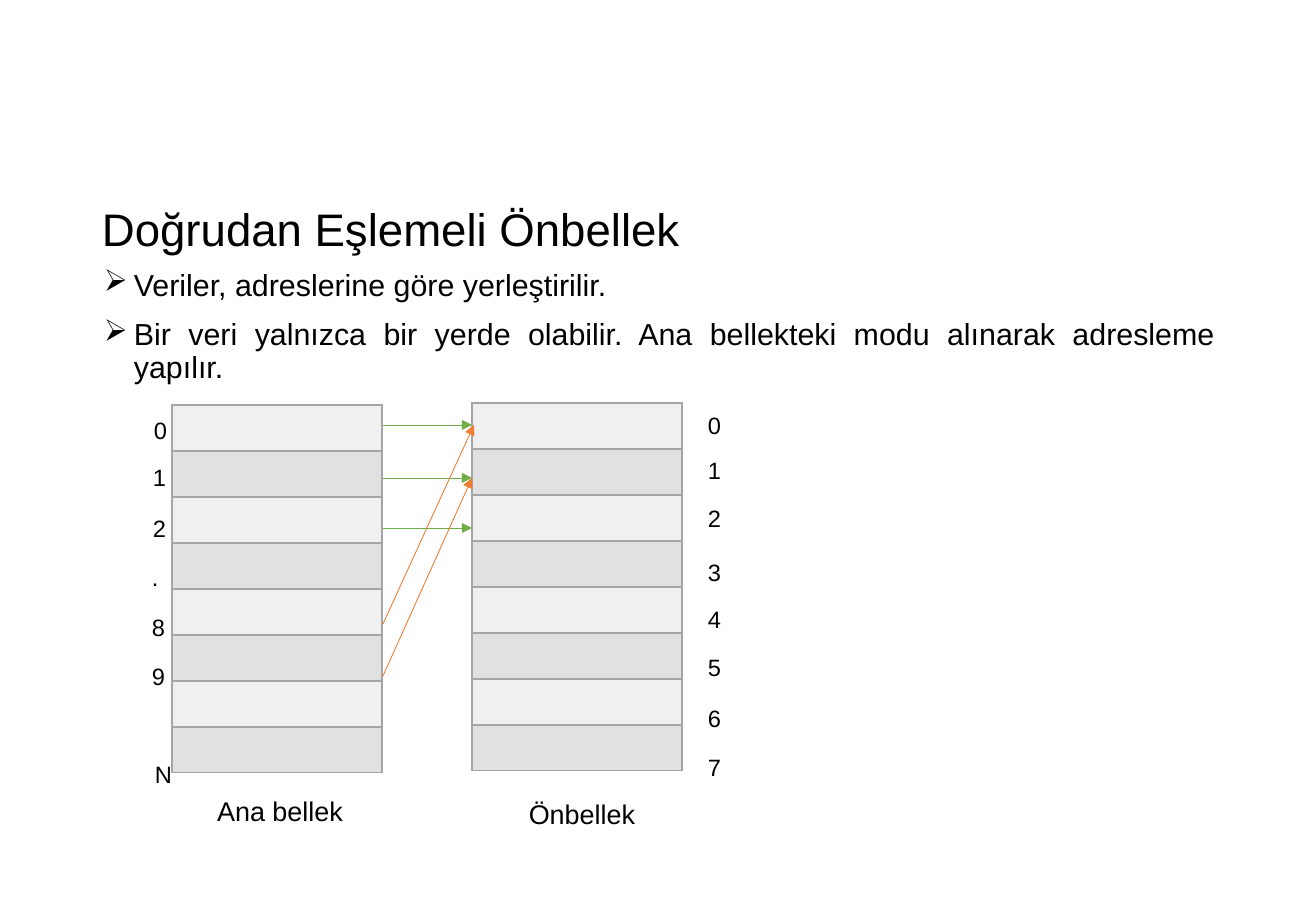
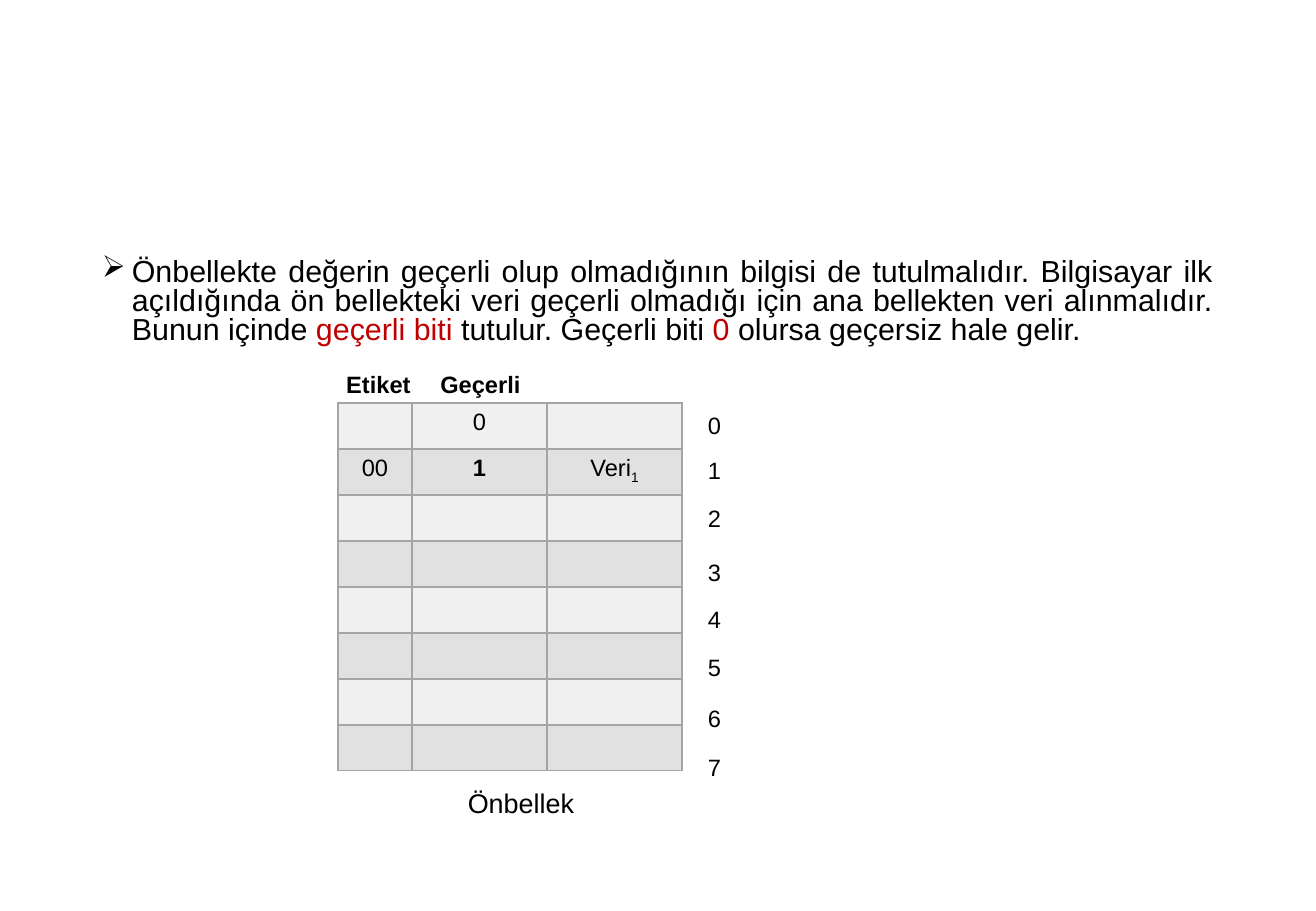
from lxml import etree
from pptx import Presentation, util as u
from pptx.dml.color import RGBColor
from pptx.enum import shapes, text
from pptx.oxml.ns import qn

SCALE = 7526  # EMU in one px
BLACK, RED, GREEN, ORANGE = "000000", "C00000", "70AD47", "ED7D31"
GRAY, BANDS = "A5A5A5", ("F0F0F0", "E1E1E1")
ROWS, ROW = 8, 46
LINES = (406, 451, 499, 553, 600, 648, 699, 748)


def px(n):
    return u.Emu(n * SCALE)


def rgb(code):
    return RGBColor.from_string(code)


def sub(node, tag, **attrs):
    return etree.SubElement(node, qn(tag), attrs)


class Deck:
    face = "Arial"

    def __init__(self):
        self.prs = Presentation()
        self.prs.slide_width, self.prs.slide_height = px(1316), px(911)

    def page(self):
        self.slide = self.prs.slides.add_slide(self.prs.slide_layouts[6])

    def font(self, par, size, bold=False):
        par.font.name, par.font.size, par.font.bold = self.face, u.Pt(size), bold
        par.font.color.rgb = rgb(BLACK)

    def box(self, x, y, w, h):
        frame = self.slide.shapes.add_textbox(px(x), px(y), px(w), px(h)).text_frame
        frame.word_wrap = True
        return frame

    def label(self, words, x, y, w=24, h=39, size=14, bold=False,
              align=text.PP_ALIGN.CENTER):
        frame = self.box(x, y, w, h)
        frame.vertical_anchor = text.MSO_ANCHOR.MIDDLE
        par = frame.paragraphs[0]
        par.text, par.alignment = words, align
        self.font(par, size, bold)
        return par

    def title(self, words):
        par = self.label(words, 90, 192, 1135, 80, 27, align=text.PP_ALIGN.LEFT)
        par.line_spacing = 0.9

    def caption(self, words, x, y):
        self.label(words, x, y, 234, 72, 16)

    def body(self, items, x, y, h, spacing):
        """Each item is a list of (words, colour) runs."""
        frame = self.box(x, y, 1135, h)
        for i, item in enumerate(items):
            par = frame.add_paragraph() if i else frame.paragraphs[0]
            props = par._p.get_or_add_pPr()
            props.set("marL", str(px(30)))
            props.set("indent", str(px(-30)))
            sub(props, "a:buChar", char="➢")
            par.alignment = text.PP_ALIGN.JUSTIFY
            par.line_spacing = spacing
            par.space_before = u.Pt(10 if i else 0)
            self.font(par, 18)
            for words, color in item:
                run = par.add_run()
                run.text = words
                if color != BLACK:
                    run.font.color.rgb = rgb(color)

    def grid(self, x, y, cols):
        table = self.slide.shapes.add_table(
            ROWS, len(cols), px(x), px(y), px(sum(cols)), px(ROWS * ROW)).table
        table.first_row = table.horz_banding = False
        for col, w in zip(table.columns, cols):
            col.width = px(w)
        for i, row in enumerate(table.rows):
            row.height = px(ROW)
            for cell in row.cells:
                self.cell(cell, BANDS[i % 2])
        return table

    def cell(self, cell, color):
        cell.margin_bottom = 0
        props = cell._tc.get_or_add_tcPr()
        for side in ("a:lnL", "a:lnR", "a:lnT", "a:lnB"):
            fill = sub(sub(props, side, w=str(u.Pt(1))), "a:solidFill")
            sub(fill, "a:srgbClr", val=GRAY)
        cell.fill.solid()
        cell.fill.fore_color.rgb = rgb(color)
        self.font(cell.text_frame.paragraphs[0], 14)

    def put(self, cell, words, bold=False, low=""):
        par = cell.text_frame.paragraphs[0]
        par.alignment = text.PP_ALIGN.CENTER
        par.add_run().text = words
        self.font(par, 14, bold)
        if low:
            run = par.add_run()
            run.text = low
            run._r.get_or_add_rPr().set("baseline", "-25000")

    def arrow(self, x1, y1, x2, y2, color):
        line = self.slide.shapes.add_connector(
            shapes.MSO_CONNECTOR.STRAIGHT, px(x1), px(y1), px(x2), px(y2))
        line.line.color.rgb, line.line.width = rgb(color), u.Pt(0.5)
        sub(line.line._get_or_add_ln(), "a:tailEnd", type="triangle")
        sub(line._element.spPr, "a:effectLst")

    def index(self):
        for i, y in enumerate(LINES):
            self.label(str(i), 696, y)


def mapping(deck):
    deck.page()
    deck.title("Doğrudan Eşlemeli Önbellek")
    deck.body([[("Veriler, adreslerine göre yerleştirilir.", BLACK)],
               [("Bir veri yalnızca bir yerde olabilir. Ana bellekteki modu "
                 "alınarak adresleme yapılır.", BLACK)]], 92, 264, 556, 0.9)

    # Main memory and cache
    deck.grid(172, 405, [210])
    deck.caption("Ana bellek", 163, 775)
    for words, x, y in (("0", 142, 411), ("1", 141, 458), ("2", 141, 509),
                        (".", 140, 558), ("8", 140, 608), ("9", 140, 657),
                        ("N", 143, 755)):
        deck.label(words, x, y)
    deck.grid(472, 403, [210])
    deck.index()
    deck.caption("Önbellek", 465, 778)

    # Address mapping
    for y in (425, 478, 528):
        deck.arrow(383, y, 472, y, GREEN)
    deck.arrow(383, 624, 474, 425, ORANGE)
    deck.arrow(383, 676, 472, 478, ORANGE)


def validity(deck):
    deck.page()
    # Cache with tag and valid bit
    table = deck.grid(338, 403, [74, 135, 135])
    deck.put(table.cell(0, 1), "0")
    deck.put(table.cell(1, 0), "00")
    deck.put(table.cell(1, 1), "1", bold=True)
    deck.put(table.cell(1, 2), "Veri", low="1")
    deck.index()
    deck.caption("Önbellek", 404, 767)
    for words, x in (("Etiket", 290), ("Geçerli", 392)):
        deck.label(words, x, 348, 177, 72, bold=True)

    deck.body([[("Önbellekte değerin geçerli olup olmadığının bilgisi de "
                 "tutulmalıdır. Bilgisayar ilk açıldığında ön bellekteki veri "
                 "geçerli olmadığı için ana bellekten veri alınmalıdır. "
                 "Bunun içinde ", BLACK),
                ("geçerli biti ", RED), ("tutulur. Geçerli biti ", BLACK),
                ("0", RED), (" olursa geçersiz hale gelir.", BLACK)]],
              90, 253, 101, 0.8)


def main():
    deck = Deck()
    mapping(deck)
    validity(deck)
    deck.prs.save("out.pptx")


if __name__ == "__main__":
    main()
